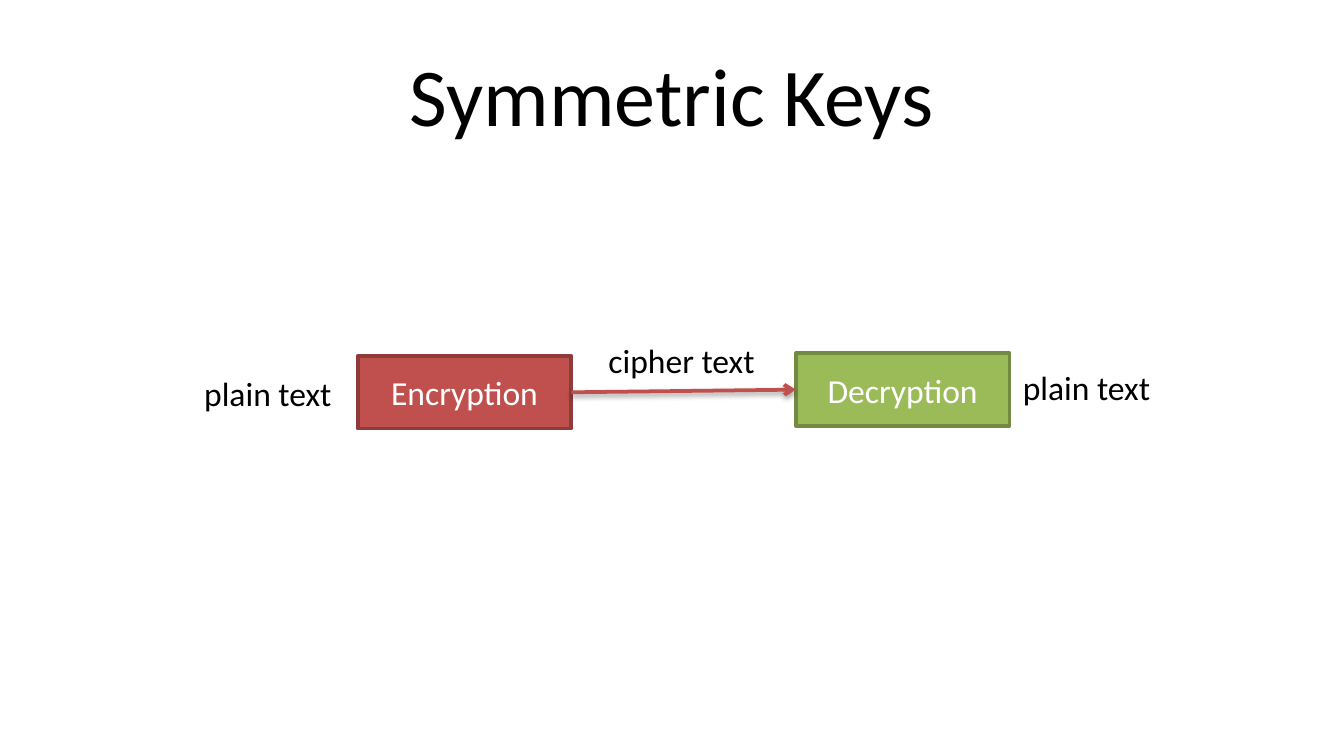
import pptx
import pptx.util
import pptx.oxml
import pptx.oxml.ns
import pptx.dml.color
import pptx.enum.shapes
import pptx.enum.text

Cm = pptx.util.Cm
Pt = pptx.util.Pt
RGBColor = pptx.dml.color.RGBColor
Align = pptx.enum.text.PP_ALIGN
Anchor = pptx.enum.text.MSO_ANCHOR

BLACK = RGBColor(0x00, 0x00, 0x00)
WHITE = RGBColor(0xFF, 0xFF, 0xFF)
RED = RGBColor(0xC0, 0x50, 0x4D)
MAROON = RGBColor(0x8E, 0x3B, 0x39)
GREEN = RGBColor(0x9B, 0xBB, 0x59)
OLIVE = RGBColor(0x73, 0x8A, 0x42)

FONT = "Calibri"
BOX_W, BOX_H = 4.04, 1.37
LABEL_H = 1.02
LINE = Pt(2)


def write(frame, text, size, color, align):
    para = frame.paragraphs[0]
    para.alignment = align
    run = para.add_run()
    run.text = text
    run.font.name = FONT
    run.font.size = Pt(size)
    run.font.color.rgb = color


def add_title(slide, text):
    box = slide.shapes.add_textbox(Cm(1.27), Cm(0.58), Cm(22.86), Cm(2.39))
    frame = box.text_frame
    frame.word_wrap = True
    frame.vertical_anchor = Anchor.MIDDLE
    write(frame, text, 44, BLACK, Align.CENTER)


def add_label(slide, text, left, top, width):
    box = slide.shapes.add_textbox(Cm(left), Cm(top), Cm(width), Cm(LABEL_H))
    frame = box.text_frame
    frame.word_wrap = False
    frame.auto_size = pptx.enum.text.MSO_AUTO_SIZE.SHAPE_TO_FIT_TEXT
    write(frame, text, 18, BLACK, Align.LEFT)


def add_step(slide, text, left, top, fill, edge):
    step = slide.shapes.add_shape(
        pptx.enum.shapes.MSO_SHAPE.RECTANGLE,
        Cm(left), Cm(top), Cm(BOX_W), Cm(BOX_H))
    step.shadow.inherit = False
    step.fill.solid()
    step.fill.fore_color.rgb = fill
    step.line.color.rgb = edge
    step.line.width = LINE
    step.text_frame.vertical_anchor = Anchor.MIDDLE
    write(step.text_frame, text, 18, WHITE, Align.CENTER)
    return step


def add_arrow(slide, start, end, color):
    arrow = slide.shapes.add_connector(
        pptx.enum.shapes.MSO_CONNECTOR.STRAIGHT, 0, 0, 0, 0)
    arrow.begin_connect(start, 3)
    arrow.end_connect(end, 1)
    arrow.line.color.rgb = color
    arrow.line.width = LINE
    # Arrowhead and soft shadow below the line
    space = pptx.oxml.ns.nsdecls("a")
    arrow.line._get_or_add_ln().append(pptx.oxml.parse_xml(
        f'<a:tailEnd {space} type="arrow"/>'))
    arrow._element.spPr.append(pptx.oxml.parse_xml(
        f'<a:effectLst {space}><a:outerShdw blurRad="{Pt(3.1)}" '
        f'dist="{Pt(1.6)}" dir="5400000" rotWithShape="0">'
        '<a:srgbClr val="000000"><a:alpha val="38000"/></a:srgbClr>'
        '</a:outerShdw></a:effectLst>'))


def main():
    deck = pptx.Presentation()
    deck.slide_width, deck.slide_height = Cm(25.4), Cm(14.29)
    slide = deck.slides.add_slide(deck.slide_layouts[6])

    add_title(slide, "Symmetric Keys")

    # Steps and the arrow between them
    lock = add_step(slide, "Encryption", 6.76, 6.73, RED, MAROON)
    unlock = add_step(slide, "Decryption", 15.04, 6.68, GREEN, OLIVE)
    add_arrow(slide, lock, unlock, RED)

    # Text going in, across and out
    add_label(slide, "plain text", 3.61, 6.93, 2.95)
    add_label(slide, "cipher text", 11.25, 6.3, 3.3)
    add_label(slide, "plain text", 19.08, 6.81, 2.95)

    deck.save("out.pptx")


if __name__ == "__main__":
    main()
